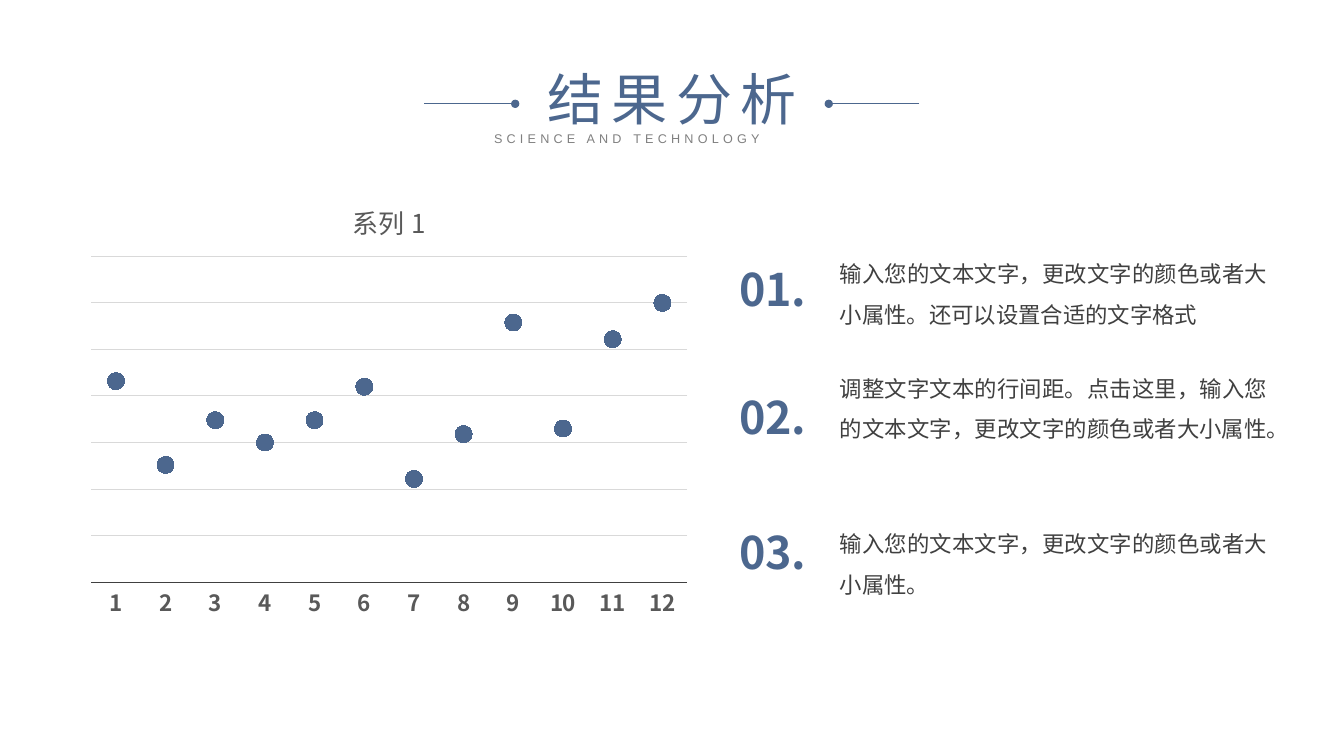
from dataclasses import dataclass

import lxml.etree
import pptx
import pptx.chart.data
import pptx.dml.color
import pptx.enum.chart
import pptx.enum.dml
import pptx.enum.shapes
import pptx.enum.text
import pptx.oxml
import pptx.oxml.ns
import pptx.util

Inches = pptx.util.Inches
Pt = pptx.util.Pt
Align = pptx.enum.text.PP_ALIGN
Anchor = pptx.enum.text.MSO_ANCHOR
qn = pptx.oxml.ns.qn

BLUE = "4C678E"
DARK = "404040"
GREY = "595959"
PALE = "D9D9D9"
SANS = "Noto Sans CJK SC"


@dataclass
class Style:
    size: float
    color: str
    align: Align
    font: str = SANS
    bold: bool = False
    track: int = 0
    lead: float = 1.0
    inset: bool = False
    wrap: bool = True
    anchor: Anchor = Anchor.TOP


@dataclass
class Item:
    mark: str
    mid: float
    text: str
    top: float
    height: float


@dataclass
class Rule:
    start: float
    end: float


HEAD = Style(40, BLUE, Align.CENTER, track=600, inset=True)
SUB = Style(9, "808080", Align.JUSTIFY, font="Arial", track=300, inset=True)
MARK = Style(32, BLUE, Align.CENTER, bold=True, wrap=False, anchor=Anchor.MIDDLE)
BODY = Style(16, DARK, Align.JUSTIFY, lead=1.5)

ITEMS = [
    Item("01.", 2.86, "输入您的文本文字，更改文字的颜色或者大小属性。还可以设置合适的文字格式", 2.45, 0.77),
    Item("02.", 4.13, "调整文字文本的行间距。点击这里，输入您的文本文字，更改文字的颜色或者大小属性。", 3.59, 1.17),
    Item("03.", 5.47, "输入您的文本文字，更改文字的颜色或者大小属性。", 5.13, 0.77),
]
RULES = [Rule(4.21, 5.11), Rule(9.12, 8.22)]
VALUES = [72, 42, 58, 50, 58, 70, 37, 53, 93, 55, 87, 100]
STEP = 16.67


def tint(code: str) -> pptx.dml.color.RGBColor:
    return pptx.dml.color.RGBColor.from_string(code)


def style_font(font, size: float, color: str, bold: bool = False, name: str = SANS) -> None:
    font.size = Pt(size)
    font.name = name
    font.bold = bold
    font.color.rgb = tint(color)


def style_run(run, size: float, color: str, bold: bool = False, name: str = SANS) -> None:
    style_font(run.font, size, color, bold, name)
    props = run._r.get_or_add_rPr()
    lxml.etree.SubElement(props, qn("a:ea")).set("typeface", name)


def write(shape, text: str, box: tuple, style: Style) -> None:
    shape.left, shape.top, shape.width, shape.height = map(Inches, box)
    frame = shape.text_frame
    frame.text = text
    frame.word_wrap = style.wrap
    frame.auto_size = pptx.enum.text.MSO_AUTO_SIZE.NONE
    frame.vertical_anchor = style.anchor
    side, edge = (0.1, 0.05) if style.inset else (0, 0)
    frame.margin_left = frame.margin_right = Inches(side)
    frame.margin_top = frame.margin_bottom = Inches(edge)
    para = frame.paragraphs[0]
    para.alignment = style.align
    para.line_spacing = style.lead
    para.space_before = Pt(0)
    props = para._p.get_or_add_pPr()
    props.set("marL", "0")
    props.set("indent", "0")
    lxml.etree.SubElement(props, qn("a:buNone"))
    run = para.runs[0]
    style_run(run, style.size, style.color, style.bold, style.font)
    if style.track:
        run._r.get_or_add_rPr().set("spc", str(style.track))


def draw_rule(slide, rule: Rule) -> None:
    kind = pptx.enum.shapes.MSO_CONNECTOR.STRAIGHT
    y = Inches(1.03)
    line = slide.shapes.add_connector(kind, Inches(rule.start), y, Inches(rule.end), y)
    line.line.color.rgb = tint(BLUE)
    line.line.width = Pt(0.5)
    tail = lxml.etree.SubElement(line.line._get_or_add_ln(), qn("a:tailEnd"))
    tail.set("type", "oval")
    lxml.etree.SubElement(line._element.spPr, qn("a:effectLst"))


def place_plot(chart) -> None:
    plot = chart._chartSpace.find(".//" + qn("c:plotArea"))
    old = plot.find(qn("c:layout"))
    if old is not None:
        plot.remove(old)
    layout = lxml.etree.Element(qn("c:layout"))
    inner = lxml.etree.SubElement(layout, qn("c:manualLayout"))
    parts = [("layoutTarget", "inner"), ("xMode", "edge"), ("yMode", "edge"),
             ("x", "0.02"), ("y", "0.17"), ("w", "0.96"), ("h", "0.73")]
    for tag, value in parts:
        lxml.etree.SubElement(inner, qn("c:" + tag)).set("val", value)
    plot.insert(0, layout)


def draw_chart(slide) -> None:
    data = pptx.chart.data.CategoryChartData()
    data.categories = [str(n) for n in range(1, len(VALUES) + 1)]
    data.add_series("系列 1", VALUES)
    box = map(Inches, (0.78, 1.79, 6.16, 4.43))
    kind = pptx.enum.chart.XL_CHART_TYPE.LINE_MARKERS
    chart = slide.shapes.add_chart(kind, *box, data).chart
    style_font(chart.font, 10, "000000")
    chart.has_legend = False
    chart.has_title = True
    title = chart.chart_title.text_frame
    title.text = "系列 1"
    style_run(title.paragraphs[0].runs[0], 18.6, GREY)
    chart.plots[0].vary_by_categories = False

    dots = chart.plots[0].series[0]
    dots.smooth = False
    dots.format.line.fill.background()
    dots.marker.style = pptx.enum.chart.XL_MARKER_STYLE.CIRCLE
    dots.marker.size = 12
    dots.marker.format.fill.solid()
    dots.marker.format.fill.fore_color.rgb = tint(BLUE)
    dots.marker.format.line.color.rgb = tint(BLUE)

    none = pptx.enum.chart.XL_TICK_MARK.NONE
    base = chart.category_axis
    base.major_tick_mark = base.minor_tick_mark = none
    style_font(base.tick_labels.font, 16, GREY, True)
    base.format.line.color.rgb = tint(DARK)
    base.format.line.width = Pt(0.75)

    scale = chart.value_axis
    scale.minimum_scale = 0
    scale.maximum_scale = round(STEP * 7, 2)
    scale.major_unit = STEP
    scale.has_major_gridlines = True
    grid = scale.major_gridlines.format.line
    grid.color.rgb = tint(PALE)
    grid.width = Pt(0.75)
    scale.visible = False
    place_plot(chart)


def main() -> None:
    deck = pptx.Presentation()
    deck.slide_width = Inches(13.33)
    deck.slide_height = Inches(7.5)
    slide = deck.slides.add_slide(deck.slide_layouts.get_by_name("Comparison"))
    head, sub, *slots = list(slide.placeholders)[:5]
    write(head, "结果分析", (5.16, 0.59, 3.01, 0.77), HEAD)
    write(sub, "SCIENCE AND TECHNOLOGY", (4.8, 1.25, 3.74, 0.25), SUB)
    for rule in RULES:
        draw_rule(slide, rule)
    draw_chart(slide)
    for item, slot in zip(ITEMS, slots):
        mark = slide.shapes.add_textbox(0, 0, 0, 0)
        write(mark, item.mark, (7.35, item.mid - 0.3, 0.63, 0.6), MARK)
        write(slot, item.text, (8.33, item.top, 4.24, item.height), BODY)
    deck.save("out.pptx")


if __name__ == "__main__":
    main()
